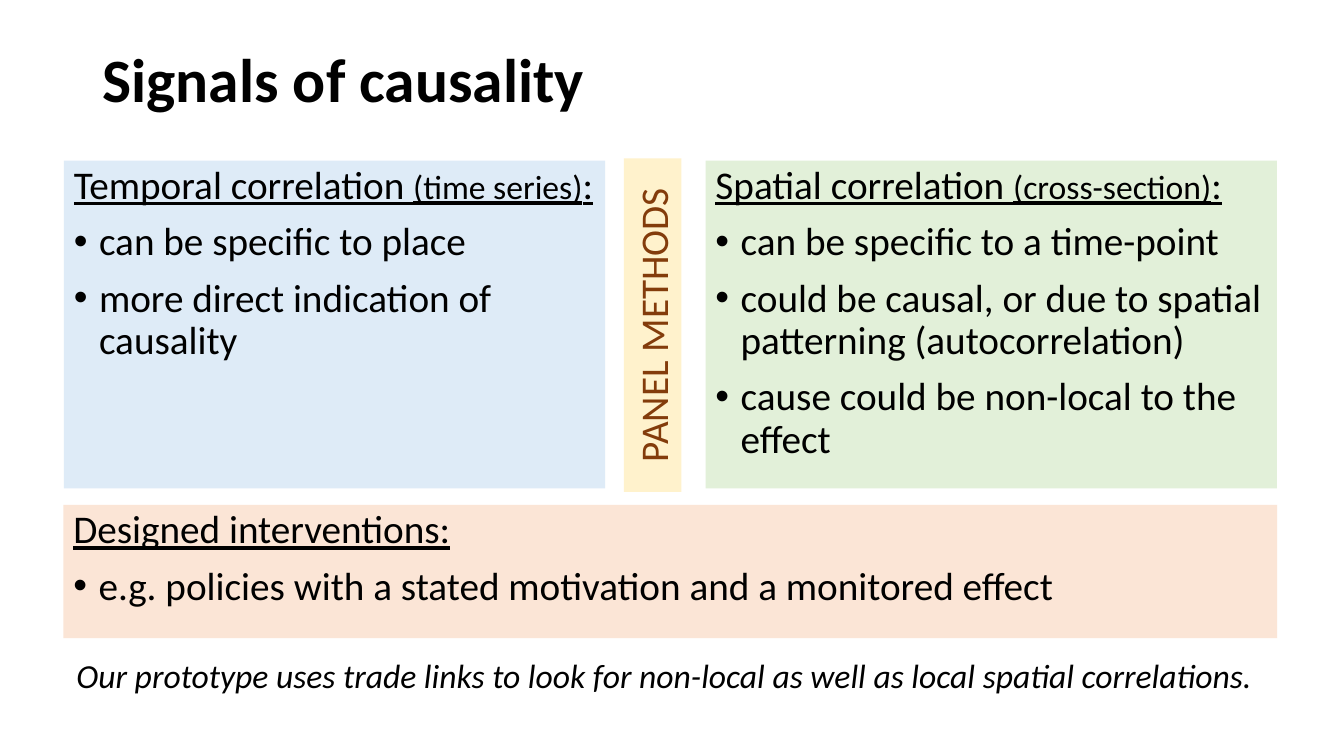
from pptx import Presentation
from pptx.dml.color import RGBColor
from pptx.enum.text import MSO_ANCHOR as Anchor, PP_ALIGN as Align
from pptx.util import Pt
from lxml.etree import SubElement

BLACK = RGBColor(0x00, 0x00, 0x00)
BROWN = RGBColor(0x83, 0x3C, 0x0B)
BLUE = RGBColor(0xDE, 0xEB, 0xF7)
GREEN = RGBColor(0xE2, 0xF0, 0xD9)
ORANGE = RGBColor(0xFB, 0xE5, 0xD6)
YELLOW = RGBColor(0xFF, 0xF2, 0xCC)

presentation = Presentation()
presentation.slide_width, presentation.slide_height = Pt(960), Pt(540)
slide = presentation.slides.add_slide(presentation.slide_layouts[6])


def add_box(left, top, width, height, fill=None):
    box = slide.shapes.add_textbox(Pt(left), Pt(top), Pt(width), Pt(height))
    box.text_frame.word_wrap = True
    if fill is not None:
        box.fill.solid()
        box.fill.fore_color.rgb = fill
    return box


def add_run(paragraph, text, size=28, color=BLACK):
    run = paragraph.add_run()
    run.text = text
    run.font.name = "Calibri"
    run.font.size = Pt(size)
    run.font.color.rgb = color
    return run


# Title
title = add_box(66.24, 6.48, 828, 104.4)
title.text_frame.vertical_anchor = Anchor.MIDDLE
paragraph = title.text_frame.paragraphs[0]
paragraph.line_spacing = 0.9
add_run(paragraph, "Signals of causality", 44).font.bold = True

# Panels: position, fill, heading runs with sizes, bullets
panels = [
    ((45.7, 114.8, 386.6, 234), BLUE,
     [("Temporal correlation ", 28), ("(time series)", 24), (":", 28)],
     ["can be specific to place", "more direct indication of causality"]),
    ((504, 114.8, 408.2, 234), GREEN,
     [("Spatial correlation ", 28), ("(cross-section)", 24), (":", 28)],
     ["can be specific to a time-point",
      "could be causal, or due to spatial patterning (autocorrelation)",
      "cause could be non-local to the effect"]),
    ((45.36, 360.7, 866.9, 95.04), ORANGE,
     [("Designed interventions:", 28)],
     ["e.g. policies with a stated motivation and a monitored effect"]),
]
for position, fill, heading, bullets in panels:
    frame = add_box(*position, fill).text_frame
    paragraph = frame.paragraphs[0]
    for text, size in heading:
        add_run(paragraph, text, size).font.underline = True
    for text in bullets:
        paragraph = frame.add_paragraph()
        add_run(paragraph, text)
    for paragraph in frame.paragraphs:
        paragraph.line_spacing = 0.9
        paragraph.space_before = Pt(10)
    for paragraph in frame.paragraphs[1:]:
        properties = paragraph._p.get_or_add_pPr()
        properties.set("marL", str(Pt(18)))
        properties.set("indent", str(Pt(-18)))
        namespace = properties.nsmap["a"]
        SubElement(properties, f"{{{namespace}}}buFont", typeface="Arial")
        SubElement(properties, f"{{{namespace}}}buChar", char="•")

# Rotated label between the two upper panels
label = add_box(347.04, 211.7, 238.3, 41.04, YELLOW)
label.rotation = 270
paragraph = label.text_frame.paragraphs[0]
paragraph.alignment = Align.CENTER
add_run(paragraph, "PANEL METHODS", 28, BROWN)

# Closing remark
remark = add_box(47.52, 464.4, 865.4, 36)
add_run(remark.text_frame.paragraphs[0],
        "Our prototype uses trade links to look for non-local as well as "
        "local spatial correlations.", 24).font.italic = True

presentation.save("out.pptx")
